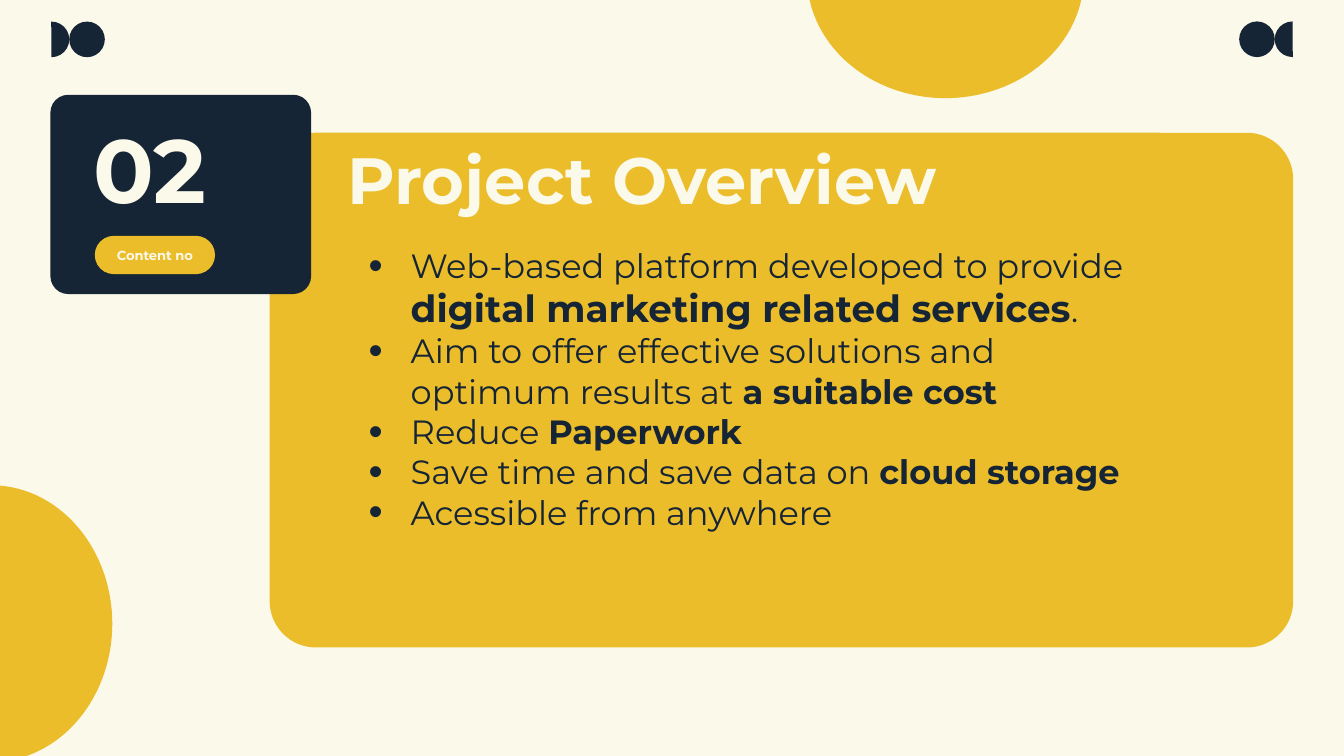
"""Build the project overview slide on a grid of 100 columns."""
import lxml.etree
import pptx
import pptx.dml.color
import pptx.enum.shapes
import pptx.enum.text
import pptx.oxml.ns
import pptx.util

THEME = {
    "font": "Montserrat",
    "cream": "FBF9EA", "gold": "ECBD2A", "navy": "162535",
    "title": 35, "number": 48, "body": 18, "strong": 20, "label": 7,
}
WIDE, COLS = 10, 100
HIGH = WIDE * 9 / 16
KIND = pptx.enum.shapes.MSO_SHAPE
ALIGN = pptx.enum.text.PP_ALIGN
ANCHOR = pptx.enum.text.MSO_ANCHOR

HALF = (53.46, 162)
DOT, EDGE, STEP, TOP = 2.65, 2.5, 2.65, 1.6
DECOR = [
    (KIND.PIE, (-9.7, 36.1, 18.05, 20.6), "gold", HALF, 180),
    (KIND.PIE, (61.3, -12.05, 18.1, 20.6), "gold", HALF, 270),
]
for kind, left, adjust in ((KIND.PIE, EDGE, HALF), (KIND.OVAL, EDGE + STEP, ())):
    DECOR += [
        (kind, (left, TOP, DOT, DOT), "navy", adjust, 180),
        (kind, (COLS - left - DOT, TOP, DOT, DOT), "navy", adjust, 0),
    ]
PANELS = [
    (KIND.ROUNDED_RECTANGLE, (20.07, 9.88, 76.15, 38.3), "gold", (0.09,), 0),
    (KIND.ROUNDED_RECTANGLE, (3.75, 7.05, 19.4, 14.83), "navy", (0.09,), 0),
]
PILL = (KIND.ROUNDED_RECTANGLE, (7.05, 17.55, 8.95, 2.85), "gold", (0.5,), 0)

HEADS = [
    ("Project Overview", (20.07, 10.03, 55.4, 7.5), "title", 0, {"line_spacing": 0.8}),
    ("02", (5.5, 7.05, 11.3, 10.9), "number", 1, {}),
]
BODY = (26.45, 17.25, 60.4, 24.7)
POINTS = [
    [("Web-based platform developed to provide ", "body", False),
     ("digital marketing related services", "strong", True), (".", "body", False)],
    [("Aim to offer effective solutions and optimum results at ", "body", False),
     ("a suitable cost", "body", True)],
    [("Reduce ", "body", False), ("Paperwork", "body", True)],
    [("Save time and save data on ", "body", False), ("cloud storage", "body", True)],
    [("Acessible from anywhere", "body", False)],
]


def unit(count):
    return pptx.util.Inches(count * WIDE / COLS)


def color(name):
    return pptx.dml.color.RGBColor.from_string(THEME[name])


def assign(target, values):
    for name, value in values.items():
        setattr(target, name, value)


def draw(slide, kind, box, fill, adjust, turn):
    shape = slide.shapes.add_shape(kind, *map(unit, box))
    shape.shadow.inherit = False
    shape.fill.solid()
    shape.fill.fore_color.rgb = color(fill)
    shape.line.fill.background()
    shape.rotation = turn
    for spot, value in enumerate(adjust):
        shape.adjustments[spot] = value
    return shape


def frame(shape, pad, anchor):
    text = shape.text_frame
    sides = ("left", "top", "right", "bottom")
    assign(text, {f"margin_{side}": unit(pad) for side in sides})
    assign(text, {"word_wrap": True, "vertical_anchor": anchor})
    return text


def write(para, words, size, ink, bold):
    run = para.add_run()
    run.text = words
    assign(run.font, {"name": THEME["font"], "size": pptx.util.Pt(THEME[size]), "bold": bold})
    run.font.color.rgb = color(ink)


def center(shape, words, size, pad, style):
    para = frame(shape, pad, ANCHOR.MIDDLE).paragraphs[0]
    assign(para, {"alignment": ALIGN.CENTER, **style})
    write(para, words, size, "cream", True)


def bullet(para):
    props = para._p.get_or_add_pPr()
    props.set("marL", str(unit(3.13)))
    props.set("indent", str(-unit(3.13)))
    name = pptx.oxml.ns.qn
    tint = lxml.etree.SubElement(props, name("a:buClr"))
    lxml.etree.SubElement(tint, name("a:srgbClr"), val=THEME["navy"])
    lxml.etree.SubElement(props, name("a:buSzPct"), val="120000")
    lxml.etree.SubElement(props, name("a:buFont"), typeface="Arial")
    lxml.etree.SubElement(props, name("a:buChar"), char="•")


def main():
    deck = pptx.Presentation()
    assign(deck, {"slide_width": pptx.util.Inches(WIDE), "slide_height": pptx.util.Inches(HIGH)})
    slide = deck.slides.add_slide(deck.slide_layouts[6])
    slide.background.fill.solid()
    slide.background.fill.fore_color.rgb = color("cream")

    for item in DECOR + PANELS:
        draw(slide, *item)
    for words, box, size, pad, style in HEADS:
        center(slide.shapes.add_textbox(*map(unit, box)), words, size, pad, style)

    text = frame(slide.shapes.add_textbox(*map(unit, BODY)), 1, ANCHOR.TOP)
    for spot, runs in enumerate(POINTS):
        para = text.add_paragraph() if spot else text.paragraphs[0]
        bullet(para)
        for words, size, bold in runs:
            write(para, words, size, "navy", bold)

    center(draw(slide, *PILL), "Content no", "label", 1, {})
    deck.save("out.pptx")


if __name__ == "__main__":
    main()
